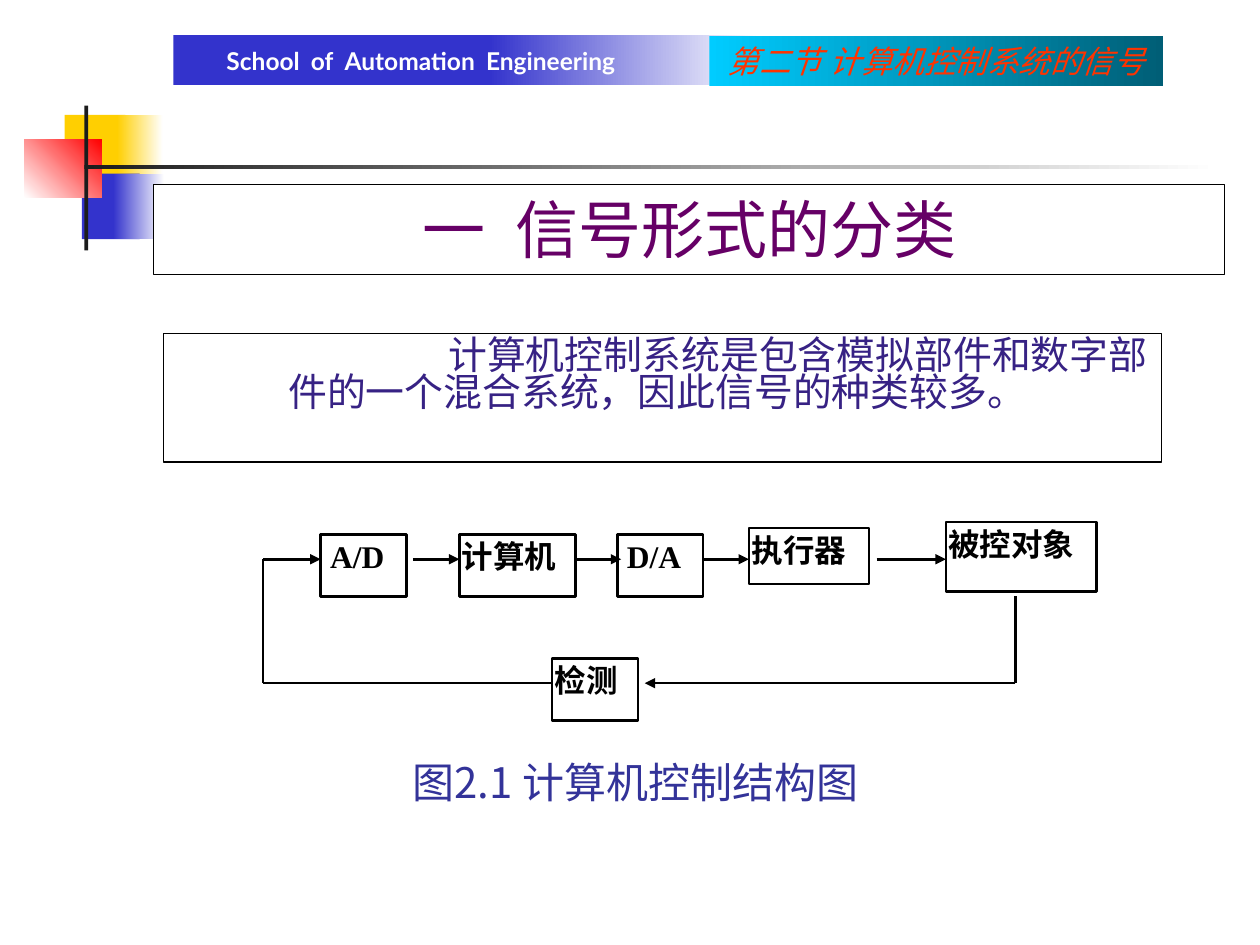
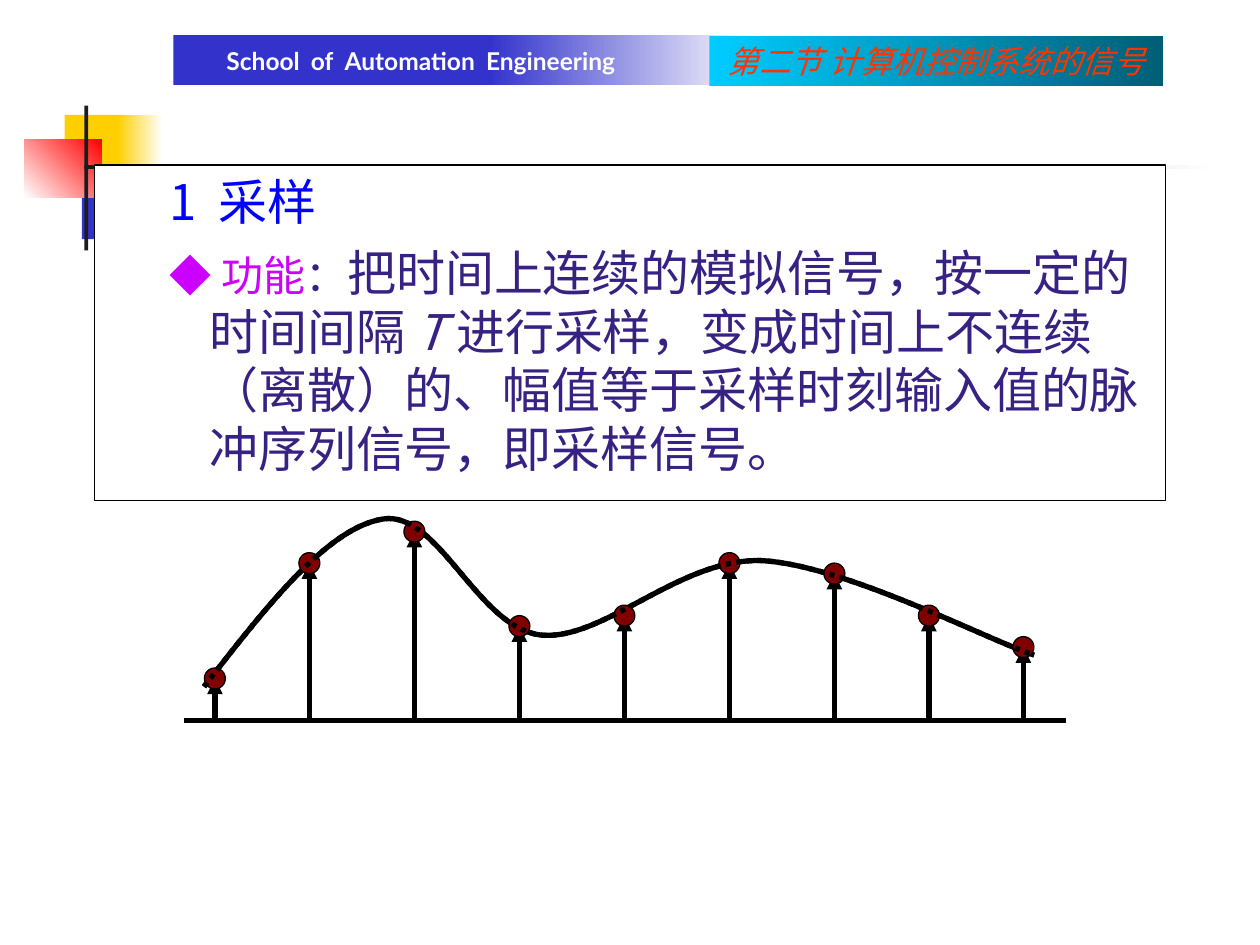
from lxml import etree
from pptx import Presentation
from pptx.dml.color import RGBColor
from pptx.enum.dml import MSO_LINE
from pptx.enum.shapes import MSO_CONNECTOR, MSO_SHAPE
from pptx.enum.text import MSO_ANCHOR, PP_ALIGN
from pptx.oxml.ns import qn
from pptx.util import Pt

RECT, DOT = MSO_SHAPE.RECTANGLE, MSO_SHAPE.FLOWCHART_CONNECTOR
STRAIGHT = MSO_CONNECTOR.STRAIGHT
SYS_DOT = MSO_LINE.ROUND_DOT
TOP, MIDDLE = MSO_ANCHOR.TOP, MSO_ANCHOR.MIDDLE
LEFT, CENTER = PP_ALIGN.LEFT, PP_ALIGN.CENTER

C = {
    "white": "FFFFFF", "black": "000000", "yellow": "FFCF01", "blue": "3333CC",
    "red": "FF0000", "bar": "1C1C1C", "cyan": "00CCFF", "teal": "005E76",
    "section": "FF3300", "title": "660066", "body": "372284",
    "caption": "333399", "heading": "0000FF", "term": "CC00FF", "sample": "800000",
}
TIMES, LATO, NOTO = "Times New Roman", "Lato", "Noto Sans CJK SC"


def rgb(name):
    return RGBColor.from_string(C[name])


def set_font(font, size, name, color, bold=False, italic=False):
    font.size, font.name = Pt(size), name
    font.bold, font.italic = bold, italic
    font.color.rgb = rgb(color)


def add_box(slide, box, fill, line=None, width=0.75, kind=RECT, angle=0):
    sp = slide.shapes.add_shape(kind, *map(Pt, box))
    sp.shadow.inherit = False
    if isinstance(fill, tuple):
        sp.fill.gradient()
        sp.fill.gradient_angle = angle
        for stop, color in zip(sp.fill.gradient_stops, fill):
            stop.color.rgb = rgb(color)
    else:
        sp.fill.solid()
        sp.fill.fore_color.rgb = rgb(fill)
    if line:
        sp.line.color.rgb = rgb(line)
        sp.line.width = Pt(width)
    else:
        sp.line.fill.background()
    return sp


def frame(sp, insets=(7.2, 3.6, 7.2, 3.6), anchor=TOP):
    tf = sp.text_frame
    tf.word_wrap = True
    tf.vertical_anchor = anchor
    tf.margin_left, tf.margin_top, tf.margin_right, tf.margin_bottom = map(Pt, insets)
    return tf


def set_indent(p, left, first):
    pPr = p._p.get_or_add_pPr()
    pPr.set("marL", str(Pt(left)))
    pPr.set("indent", str(Pt(first)))


def write(p, text, size, name, color, align=LEFT, gap=0, bold=False, italic=False):
    p.alignment = align
    words = text.split(" ") if gap else [text]
    for i, word in enumerate(words):
        if i:
            space = p.add_run()
            space.text = " "
            space._r.get_or_add_rPr().set("spc", str(int(gap * 100)))
        p.add_run().text = word
    set_font(p.font, size, name, color, bold, italic)


def add_line(slide, start, end, width, arrow=False):
    c = slide.shapes.add_connector(STRAIGHT, *map(Pt, start + end))
    c.line.color.rgb = rgb("black")
    c.line.width = Pt(width)
    spPr = c._element.spPr
    if arrow:
        etree.SubElement(spPr.get_or_add_ln(), qn("a:tailEnd"), type="triangle")
    etree.SubElement(spPr, qn("a:effectLst"))


def add_curve(slide, knots, dash=None):
    points = [(Pt(x), Pt(y)) for x, y in knots]
    builder = slide.shapes.build_freeform(*points[0])
    builder.add_line_segments(points[1:], close=False)
    sp = builder.convert_to_shape()
    outline = next(sp._element.iter(qn("a:path")))
    segments = outline.findall(qn("a:lnTo"))
    for i in range(0, len(segments), 3):
        bezier = etree.SubElement(outline, qn("a:cubicBezTo"))
        for segment in segments[i:i + 3]:
            bezier.append(segment[0])
            outline.remove(segment)
    sp.shadow.inherit = False
    sp.fill.background()
    sp.line.color.rgb = rgb("black")
    sp.line.width = Pt(3)
    if dash:
        sp.line.dash_style = dash


def add_base(prs):
    slide = prs.slides.add_slide(prs.slide_layouts[6])
    add_box(slide, (37, 65.7, 34.6, 37.4), "yellow")
    add_box(slide, (67, 65.7, 26, 37.4), ("yellow", "white"))
    add_box(slide, (46.8, 99.2, 33, 37.4), "blue")
    add_box(slide, (13.9, 79.7, 44.3, 33.2), ("white", "red"), angle=45)
    add_box(slide, (48.2, 60.3, 2.2, 82.8), "bar")
    add_box(slide, (48.2, 94.3, 648, 2.2), ("bar", "white"))
    add_box(slide, (99, 20.1, 206, 28.4), "blue")
    add_box(slide, (279.4, 20.1, 154, 28.4), ("blue", "white"))
    school = slide.shapes.add_textbox(Pt(64.8), Pt(26.4), Pt(351.4), Pt(16.6))
    write(frame(school, (0, 0, 0, 0), MIDDLE).paragraphs[0],
          "School of Automation Engineering", 14, LATO, "white", CENTER, 2.9, bold=True)
    section = add_box(slide, (405.4, 20.5, 259.2, 28.6), ("cyan", "teal"))
    write(frame(section).paragraphs[0], "第二节 计算机控制系统的信号",
          18, TIMES, "section", CENTER, italic=True)
    return slide


def add_block(slide, text, box, left=1.5):
    sp = add_box(slide, box, "white", "black", 1.5)
    write(frame(sp, (left, 1.5, 1.5, 1.5)).paragraphs[0], text, 18, TIMES, "black", bold=True)


def add_control_loop(slide):
    forward, back, left, right = 319.6, 390.4, 150.3, 580.2
    add_block(slide, "A/D", (183.2, 305.3, 49, 35.5), 5.5)
    add_block(slide, "计算机", (262.5, 305.3, 66.5, 35.5))
    for x1, x2 in ((left, 183.2), (236, 262.5), (402, 428), (501, 540.5)):
        add_line(slide, (x1, forward), (x2, forward), 1.5, True)
    add_block(slide, "D/A", (352.7, 305.3, 49, 35.5), 5.5)
    add_line(slide, (329, forward), (355, forward), 1.5, True)
    add_block(slide, "执行器", (428, 301.7, 68.5, 32))
    add_block(slide, "被控对象", (540.5, 298.3, 86, 39.7))
    add_block(slide, "检测", (315.5, 376.3, 49, 35.5))
    add_line(slide, (right, 340.8), (right, back), 1.5)
    add_line(slide, (right, back), (368.5, back), 1.5, True)
    add_line(slide, (315.5, back), (left, back), 1.5)
    add_line(slide, (left, back), (left, forward), 1.5)


def build_signal_types(prs):
    slide = add_base(prs)
    add_box(slide, (64.8, 99.2, 29, 37.4), ("blue", "white"))
    title = add_box(slide, (87.8, 105.6, 612, 51.2), "white", "black")
    write(frame(title).paragraphs[0], "一 信号形式的分类", 36, TIMES, "title", CENTER, 9)
    body = add_box(slide, (93.6, 190.6, 570, 73.5), "white", "black")
    p = frame(body).paragraphs[0]
    set_indent(p, 64, 91.5)
    p.line_spacing = 0.8
    write(p, "计算机控制系统是包含模拟部件和数字部件的一个混合系统，因此信号的种类较多。",
          22.2, TIMES, "body")
    add_control_loop(slide)
    caption = slide.shapes.add_textbox(Pt(195.6), Pt(428.8), Pt(334.8), Pt(36))
    write(frame(caption).paragraphs[0], "图2.1 计算机控制结构图", 24, NOTO, "caption", CENTER)


def add_sampled_signal(slide):
    knots = [(116.6, 392.4), (152, 347), (187, 301.7), (218.9, 296.6),
             (250.6, 291.6), (272.9, 358.6), (308.9, 362.9),
             (344.9, 366.5), (388, 319), (434.9, 320.4),
             (481.7, 322.6), (563, 365), (591, 374.4)]
    samples = [(122.8, 387.7), (176.8, 321.8), (236.8, 303.8), (296.8, 357.8),
               (356.8, 351.8), (416.8, 321.8), (476.8, 327.8), (530.8, 351.8),
               (584.8, 369.8)]
    axis, size = 411.7, 12
    add_curve(slide, knots)
    for x, y in samples:
        add_line(slide, (x, axis), (x, y), 3, True)
    for x, y in samples:
        add_box(slide, (x - size / 2, y - size / 2, size, size), "sample", "black", kind=DOT)
    add_line(slide, (105, axis), (609, axis), 3)
    add_curve(slide, knots, SYS_DOT)


def build_sampling(prs):
    slide = add_base(prs)
    body = add_box(slide, (54, 94.3, 612, 191.8), "white", "black")
    tf = frame(body)
    heading, function = tf.paragraphs[0], tf.add_paragraph()
    for p in (heading, function):
        set_indent(p, 58.5, -22.5)
    write(heading, "1 采样", 28, NOTO, "heading", gap=6.3)
    function.alignment = LEFT
    function.space_before = Pt(7)
    for text, size, name, color, italic in (
        ("◆ 功能", 24, TIMES, "term", False),
        ("：", 24, TIMES, "body", False),
        ("把时间上连续的模拟信号，按一定的时间间隔 ", 28, NOTO, "body", False),
        ("T ", 28, NOTO, "body", True),
        ("进行采样，变成时间上不连续（离散）的、幅值等于采样时刻输入值的脉冲序列信号，即采样信号。",
         28, NOTO, "body", False),
    ):
        r = function.add_run()
        r.text = text
        set_font(r.font, size, name, color, italic=italic)
    add_sampled_signal(slide)


def main():
    prs = Presentation()
    prs.slide_width, prs.slide_height = Pt(720), Pt(540)
    build_signal_types(prs)
    build_sampling(prs)
    prs.save("out.pptx")


if __name__ == "__main__":
    main()
